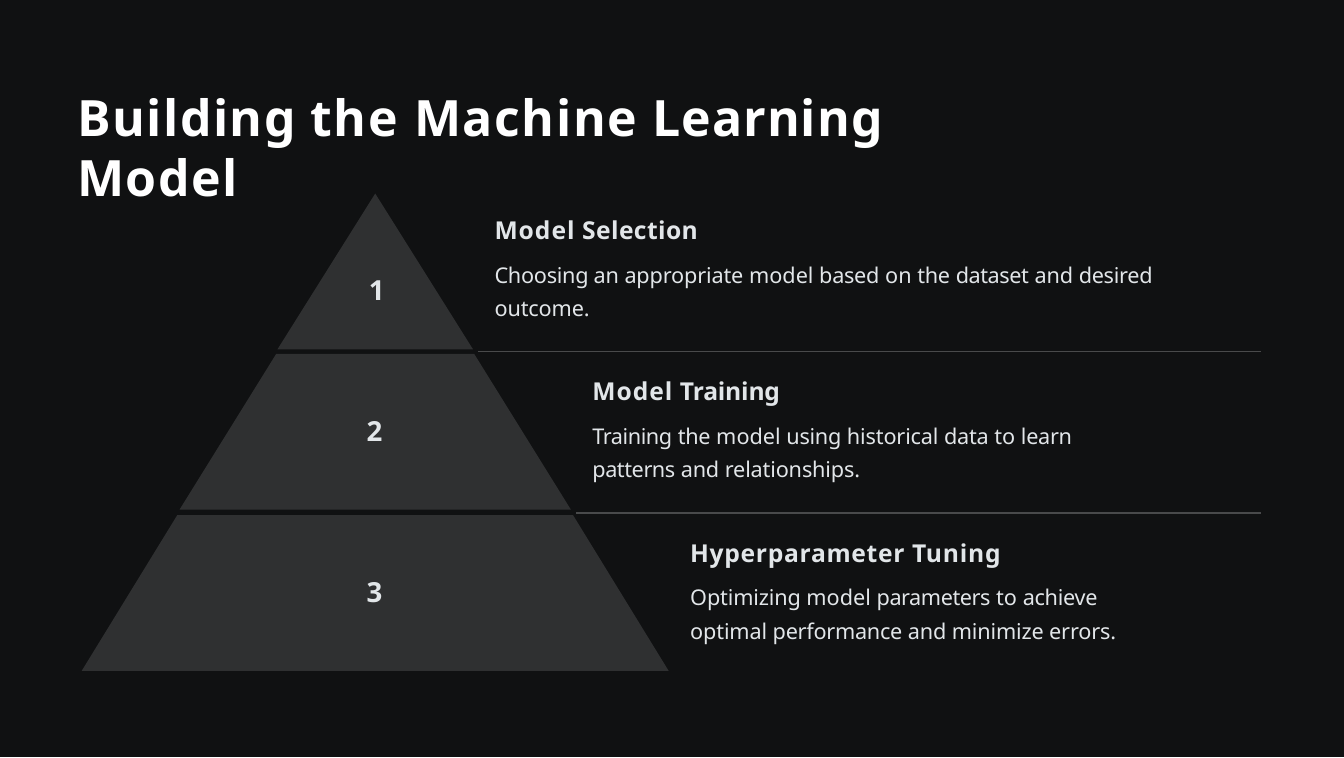
from dataclasses import dataclass

from pptx import Presentation
from pptx.dml.color import RGBColor
from pptx.enum.shapes import MSO_CONNECTOR as Connector, MSO_SHAPE as Shape
from pptx.enum.text import MSO_ANCHOR as Anchor, MSO_AUTO_SIZE as AutoSize, PP_ALIGN as Align
from pptx.oxml.xmlchemy import OxmlElement
from pptx.util import Inches, Pt

FONT = "Noto Sans"
DARK = RGBColor(0x10, 0x11, 0x12)
BAND = RGBColor(0x2F, 0x30, 0x31)
RULE = RGBColor(0x49, 0x4A, 0x4B)
PALE = RGBColor(0xE2, 0xE6, 0xE9)
WHITE = RGBColor(0xFF, 0xFF, 0xFF)

WIDTH, HEIGHT = 12.5, 7.05
PANEL_H = 7.04
ROW, COL = 1.5, 0.91          # one pyramid level down, one step of its slope across
APEX_X, APEX_Y = 3.49, 1.8
BAND_H = 1.45
TEXT_X, TEXT_Y = 4.59, 1.98
RULE_X, RULE_Y, RULE_END = 4.45, 3.27, 11.73

Runs = list[tuple[str, float]]  # wording and letter spacing in points


@dataclass(frozen=True)
class Style:
    size: float
    color: RGBColor
    bold: bool
    before: float
    line: float = 1.0


@dataclass(frozen=True)
class Level:
    number: Runs
    number_x: float
    number_y: float
    text_w: float
    heading: Runs
    body: Runs


TITLE = Style(33.5, WHITE, True, 1.2)
NUMBER = Style(18.5, PALE, True, 1.1)
HEADING = Style(16.5, PALE, True, 1.4)
BODY = Style(14.5, PALE, False, 6.3, 1.29)

TITLE_RUNS: Runs = [("Building ", 1), ("the Machine ", 1.1), ("Learning ", 0.7), ("Model", 1)]

LEVELS = [
    Level([("1", -5.1)], 3.42, 2.52, 6.49,
          [("Model ", 0.7), ("Selection", 0.3)],
          [("Choosing an ", -0.2), ("appropriate ", -0.1), ("model ", 0), ("based ", -0.2),
           ("on ", 0), ("the ", -0.2), ("dataset ", -0.3), ("and ", -0.1),
           ("desired ", -0.2), ("outcome.", -0.1)]),
    Level([("2", -0.5)], 3.4, 3.83, 5.25,
          [("Model ", 0.7), ("Training", -0.1)],
          [("Training ", -0.3), ("the ", -0.2), ("model ", 0), ("using ", -0.2),
           ("historical ", -0.1), ("data ", -0.2), ("to ", 0), ("learn ", -0.2),
           ("patterns ", -0.3), ("and ", -0.2), ("relationships.", -0.1)]),
    Level([("3", -0.5)], 3.4, 5.33, 4.22,
          [("Hyperparameter ", 0.5), ("Tuning", 0.6)],
          [("Optimizing ", -0.1), ("model ", 0), ("parameters ", -0.3), ("to ", 0),
           ("achieve ", -0.2), ("optimal ", -0.1), ("performance ", -0.2),
           ("and minimize errors.", -0.1)]),
]


def split_spaces(runs: Runs) -> Runs:
    """Give the space that ends a run its natural width."""
    pieces: Runs = []
    for text, spacing in runs:
        word = text.rstrip()
        pieces.append((word, spacing))
        if word != text:
            pieces.append((" ", 0))
    return pieces


def write(sp, paragraphs: list[tuple[Runs, Style]]) -> None:
    """Fill a shape's text frame, one styled paragraph per entry."""
    tf = sp.text_frame
    tf.word_wrap = True
    tf.auto_size = AutoSize.SHAPE_TO_FIT_TEXT
    tf.vertical_anchor = Anchor.TOP
    tf.margin_left, tf.margin_top = Inches(0.01), Inches(0.02)
    tf.margin_right = tf.margin_bottom = 0
    for i, (runs, style) in enumerate(paragraphs):
        p = tf.add_paragraph() if i else tf.paragraphs[0]
        p.alignment = Align.LEFT
        p.space_before = Pt(style.before)
        p.line_spacing = style.line
        for text, spacing in split_spaces(runs):
            r = p.add_run()
            r.text = text
            r.font.name = FONT
            r.font.size = Pt(style.size)
            r.font.bold = style.bold
            r.font.color.rgb = style.color
            r._r.get_or_add_rPr().set("spc", str(round(spacing * 100)))


def add_text(s, x: float, y: float, w: float, h: float,
             paragraphs: list[tuple[Runs, Style]]) -> None:
    write(s.shapes.add_textbox(Inches(x), Inches(y), Inches(w), Inches(h)), paragraphs)


def paint(sp, color: RGBColor) -> None:
    sp.fill.solid()
    sp.fill.fore_color.rgb = color
    sp.line.fill.background()
    sp.shadow.inherit = False


def add_panel(s) -> None:
    """Lay the dark panel behind everything, the title included."""
    sp = s.shapes.add_shape(Shape.RECTANGLE, 0, 0, Inches(WIDTH), Inches(PANEL_H))
    paint(sp, DARK)
    s.shapes.title._element.addprevious(sp._element)


def add_band(s, row: int) -> None:
    top = APEX_Y + row * ROW - (0.01 if row else 0)
    bottom = top + BAND_H
    half_top, half_bottom = row * (COL + 0.01), (row + 1) * COL
    points = [(APEX_X + half_top, top), (APEX_X + half_bottom, bottom),
              (APEX_X - half_bottom, bottom), (APEX_X - half_top, top)]
    start, *rest = [(Inches(x), Inches(y)) for x, y in points]
    builder = s.shapes.build_freeform(*start)
    builder.add_line_segments(rest, close=True)
    paint(builder.convert_to_shape(), BAND)


def add_rule(s, row: int) -> None:
    y = Inches(RULE_Y + row * ROW)
    line = s.shapes.add_connector(Connector.STRAIGHT, Inches(RULE_X + row * COL), y,
                                  Inches(RULE_END), y)
    line.line.color.rgb = RULE
    line.line.width = Pt(1)
    line._element.spPr.append(OxmlElement("a:effectLst"))


def add_level(s, row: int, level: Level) -> None:
    add_band(s, row)
    add_text(s, level.number_x, level.number_y, 0.18, 0.34, [(level.number, NUMBER)])
    add_text(s, TEXT_X + row * COL, TEXT_Y + row * ROW, level.text_w, 1.02,
             [(level.heading, HEADING), (level.body, BODY)])
    if row < len(LEVELS) - 1:
        add_rule(s, row)


def main() -> None:
    prs = Presentation()
    prs.slide_width, prs.slide_height = Inches(WIDTH), Inches(HEIGHT)
    s = prs.slides.add_slide(prs.slide_layouts[5])
    add_panel(s)

    title = s.shapes.title
    title.left, title.top = Inches(0.71), Inches(0.78)
    title.width, title.height = Inches(9.1), Inches(0.59)
    write(title, [(TITLE_RUNS, TITLE)])

    for row, level in enumerate(LEVELS):
        add_level(s, row, level)
    prs.save("out.pptx")


if __name__ == "__main__":
    main()
